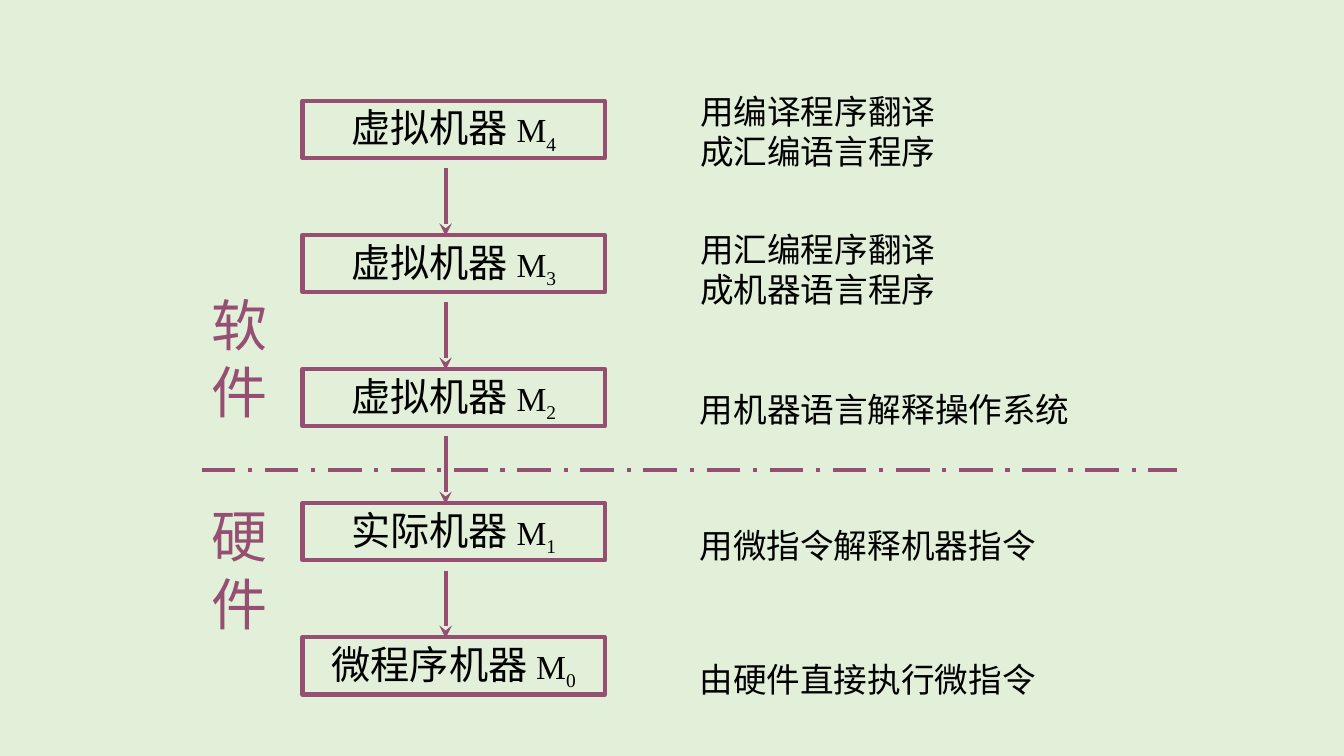
from lxml import etree
from pptx import Presentation
from pptx.dml.color import RGBColor
from pptx.enum import dml, shapes, text
from pptx.oxml import ns
from pptx.util import Inches, Pt

BACKGROUND = RGBColor(0xE2, 0xF0, 0xD9)
PLUM = RGBColor(0x95, 0x4F, 0x72)
BLACK = RGBColor(0, 0, 0)
CHINESE_FONT = "Noto Sans CJK SC"
LATIN_FONT = "Times New Roman"

LEVEL_TOP, LEVEL_STEP = 1.0, 1.33
MACHINES = ["虚拟机器", "虚拟机器", "虚拟机器", "实际机器", "微程序机器"]
NOTES = [
    (0.85, 2.56, ["用编译程序翻译", "成汇编语言程序"]),
    (2.22, 2.56, ["用汇编程序翻译", "成机器语言程序"]),
    (3.81, 3.89, ["用机器语言解释操作系统"]),
    (5.16, 3.55, ["用微指令解释机器指令"]),
    (6.49, 3.55, ["由硬件直接执行微指令"]),
]
LAYERS = [(2.83, "软件"), (4.93, "硬件")]


class Diagram:
    def __init__(self, slide):
        self.slide = slide
        slide.background.fill.solid()
        slide.background.fill.fore_color.rgb = BACKGROUND

    def style_run(self, run, size, color=BLACK, font=CHINESE_FONT):
        run.font.size = Pt(size)
        run.font.color.rgb = color
        run.font.name = font
        east_asian = etree.SubElement(run.font._element, ns.qn("a:ea"))
        east_asian.set("typeface", font)

    def label(self, left, top, width, height, lines, size, color=BLACK):
        box = self.slide.shapes.add_textbox(
            Inches(left), Inches(top), Inches(width), Inches(height))
        frame = box.text_frame
        frame.text = "\n".join(lines)
        frame.word_wrap = False
        frame.auto_size = text.MSO_AUTO_SIZE.SHAPE_TO_FIT_TEXT
        for paragraph in frame.paragraphs:
            paragraph.alignment = text.PP_ALIGN.CENTER
            self.style_run(paragraph.runs[0], size, color)

    def machine(self, top, name, level):
        """Draw a framed machine name with its M and subscript level."""
        box = self.slide.shapes.add_shape(
            shapes.MSO_SHAPE.RECTANGLE,
            Inches(3), Inches(top), Inches(3), Inches(0.57))
        box.shadow.inherit = False
        box.fill.background()
        box.line.color.rgb = PLUM
        box.line.width = Pt(3)
        frame = box.text_frame
        frame.word_wrap = True
        frame.auto_size = text.MSO_AUTO_SIZE.SHAPE_TO_FIT_TEXT
        paragraph = frame.paragraphs[0]
        paragraph.alignment = text.PP_ALIGN.CENTER
        for words, size, font in [(name + " ", 28, CHINESE_FONT),
                                  ("M", 24, LATIN_FONT),
                                  (str(level), 24, LATIN_FONT)]:
            run = paragraph.add_run()
            run.text = words
            self.style_run(run, size, font=font)
        run.font._element.set("baseline", "-25000")

    def line(self, start, end, dash=None, arrow=False):
        connector = self.slide.shapes.add_connector(
            shapes.MSO_CONNECTOR.STRAIGHT,
            *(Inches(value) for value in (*start, *end)))
        connector.line.color.rgb = PLUM
        connector.line.width = Pt(3)
        if dash is not None:
            connector.line.dash_style = dash
        properties = connector._element.spPr
        if arrow:
            outline = properties.find(ns.qn("a:ln"))
            etree.SubElement(outline, ns.qn("a:tailEnd")).set("type", "stealth")
        etree.SubElement(properties, ns.qn("a:effectLst"))


def main():
    presentation = Presentation()
    presentation.slide_width = Inches(13.33)
    presentation.slide_height = Inches(7.5)
    diagram = Diagram(presentation.slides.add_slide(presentation.slide_layouts[6]))

    for top, width, lines in NOTES:
        diagram.label(6.83, top, width, 0.5 + 0.41 * (len(lines) - 1), lines, 24)
    diagram.line((2, 4.66), (11.67, 4.66), dash=dml.MSO_LINE.LONG_DASH_DOT)
    for top, layer in LAYERS:
        diagram.label(2, top, 0.76, 1.45, layer, 40, PLUM)

    last = len(MACHINES) - 1
    for index, name in enumerate(MACHINES):
        top = LEVEL_TOP + index * LEVEL_STEP
        diagram.machine(top, name, last - index)
        if index < last:
            diagram.line((4.42, top + 0.67), (4.42, top + LEVEL_STEP + 0.01), arrow=True)

    presentation.save("out.pptx")


if __name__ == "__main__":
    main()
